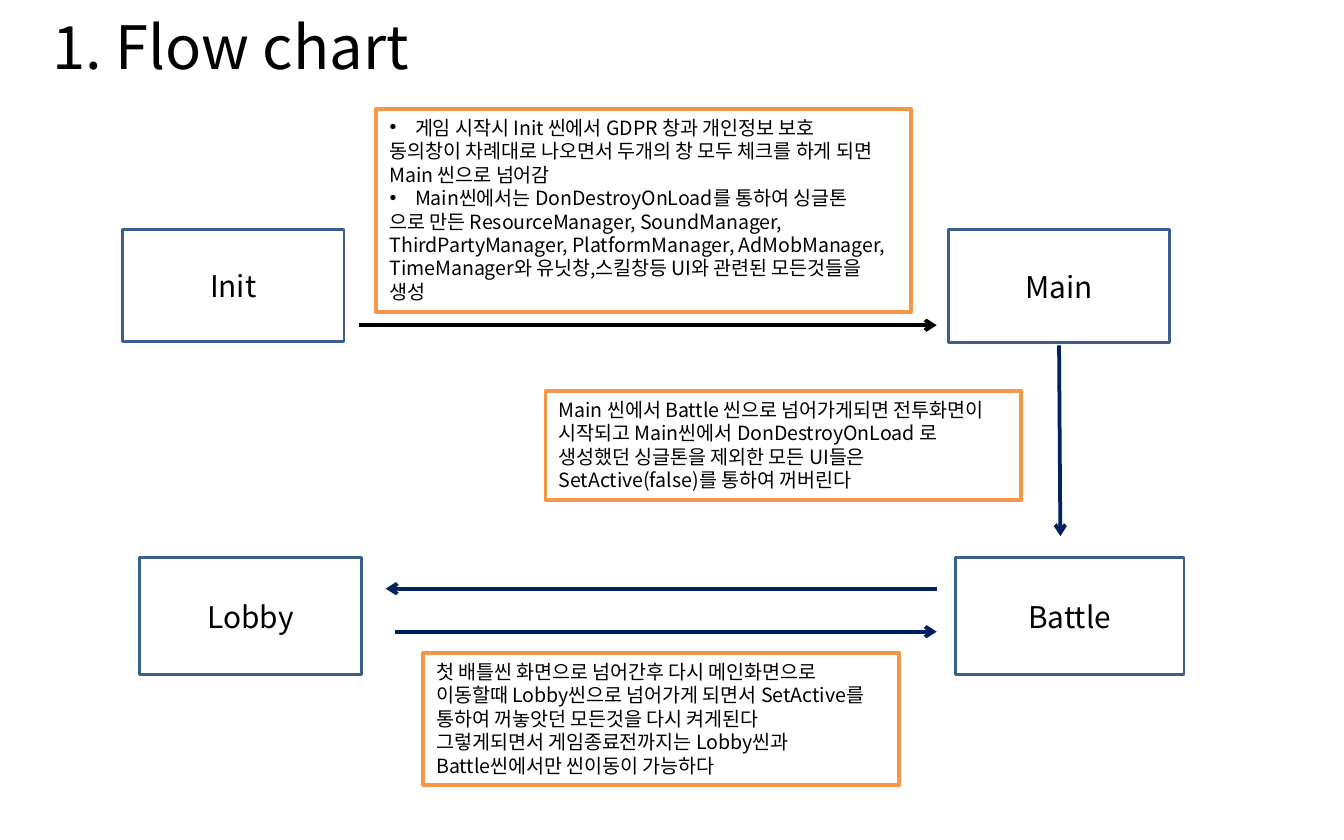
from lxml.etree import SubElement
from pptx import Presentation
from pptx.dml.color import RGBColor
from pptx.enum.shapes import MSO_CONNECTOR, MSO_SHAPE
from pptx.enum.text import MSO_ANCHOR, MSO_AUTO_SIZE, PP_ALIGN
from pptx.oxml.ns import qn
from pptx.util import Inches, Pt

FONT = "Noto Sans CJK KR"
COLORS = {
    "text": "000000",
    "fill": "FFFFFF",
    "scene": "3A5F8C",
    "note": "F79646",
    "start": "000000",
    "move": "002060",
}


def add_text(paragraph, text, size):
    run = paragraph.add_run()
    run.text = text
    run.font.size = Pt(size)
    run.font.name = FONT
    run.font.color.rgb = RGBColor.from_string(COLORS["text"])
    SubElement(run.font._element, qn("a:ea")).set("typeface", FONT)


def add_box(left, top, width, height, color, line_width):
    shape = slide.shapes.add_shape(
        MSO_SHAPE.RECTANGLE, Inches(left), Inches(top), Inches(width), Inches(height))
    shape.shadow.inherit = False
    shape.fill.solid()
    shape.fill.fore_color.rgb = RGBColor.from_string(COLORS["fill"])
    shape.line.color.rgb = RGBColor.from_string(COLORS[color])
    shape.line.width = Pt(line_width)
    shape.text_frame.word_wrap = True
    return shape


presentation = Presentation()
presentation.slide_width = Inches(10)
presentation.slide_height = Inches(6.25)
slide = presentation.slides.add_slide(presentation.slide_layouts[5])

# Title
title = slide.shapes.title
title.left, title.top = Inches(0.29), Inches(0.02)
title.width, title.height = Inches(2.88), Inches(0.64)
title.text_frame.word_wrap = False
title.text_frame.auto_size = MSO_AUTO_SIZE.NONE
title.text_frame.vertical_anchor = MSO_ANCHOR.TOP
title.text_frame.paragraphs[0].alignment = PP_ALIGN.LEFT
add_text(title.text_frame.paragraphs[0], "1. Flow chart", 32)

# Scenes
scenes = [
    ("Init", 0.91, 1.71, 1.65, 0.83),
    ("Main", 7.06, 1.71, 1.64, 0.84),
    ("Battle", 7.11, 4.15, 1.7, 0.87),
    ("Lobby", 1.04, 4.15, 1.65, 0.87),
]
for name, left, top, width, height in scenes:
    scene = add_box(left, top, width, height, "scene", 1.5)
    scene.text_frame.vertical_anchor = MSO_ANCHOR.MIDDLE
    paragraph = scene.text_frame.paragraphs[0]
    paragraph.alignment = PP_ALIGN.CENTER
    add_text(paragraph, name, 16)

# Arrows between scenes
arrows = [
    (2.67, 2.42, 6.97, 2.42, "start"),
    (2.94, 4.7, 6.97, 4.7, "move"),
    (6.97, 4.38, 2.87, 4.38, "move"),
    (7.88, 2.57, 7.89, 3.99, "move"),
]
for start_x, start_y, end_x, end_y, color in arrows:
    arrow = slide.shapes.add_connector(
        MSO_CONNECTOR.STRAIGHT,
        Inches(start_x), Inches(start_y), Inches(end_x), Inches(end_y))
    arrow.line.color.rgb = RGBColor.from_string(COLORS[color])
    arrow.line.width = Pt(2)
    SubElement(arrow.line._get_or_add_ln(), qn("a:tailEnd")).set("type", "arrow")
    SubElement(arrow._element.spPr, qn("a:effectLst"))

# Notes on each move: position, then paragraphs as (bulleted, text)
notes = [
    (2.8, 0.81, 3.98, 1.51, [
        (True, "게임 시작시 Init 씬에서 GDPR 창과 개인정보 보호"),
        (False, "동의창이 차례대로 나오면서 두개의 창 모두 체크를 하게 되면 Main 씬으로 넘어감"),
        (True, "Main씬에서는 DonDestroyOnLoad를 통하여 싱글톤"),
        (False, "으로 만든 ResourceManager, SoundManager,"),
        (False, "ThirdPartyManager, PlatformManager, AdMobManager, "
                "TimeManager와 유닛창,스킬창등 UI와 관련된 모든것들을 생성"),
    ]),
    (4.06, 2.91, 3.54, 0.81, [
        (False, "Main 씬에서 Battle 씬으로 넘어가게되면 전투화면이 "
                "시작되고 Main씬에서 DonDestroyOnLoad 로"),
        (False, "생성했던 싱글톤을 제외한 모든 UI들은 SetActive(false)를 통하여 꺼버린다"),
    ]),
    (3.15, 4.86, 3.54, 0.98, [
        (False, "첫 배틀씬 화면으로 넘어간후 다시 메인화면으로 이동할때 Lobby씬으로 "
                "넘어가게 되면서 SetActive를 통하여 꺼놓앗던 모든것을 다시 켜게된다"),
        (False, "그렇게되면서 게임종료전까지는 Lobby씬과"),
        (False, "Battle씬에서만 씬이동이 가능하다"),
    ]),
]
for left, top, width, height, lines in notes:
    note = add_box(left, top, width, height, "note", 2)
    frame = note.text_frame
    frame.vertical_anchor = MSO_ANCHOR.TOP
    frame.auto_size = MSO_AUTO_SIZE.SHAPE_TO_FIT_TEXT
    for index, (bulleted, text) in enumerate(lines):
        paragraph = frame.add_paragraph() if index else frame.paragraphs[0]
        paragraph.alignment = PP_ALIGN.LEFT
        if bulleted:
            properties = paragraph._p.get_or_add_pPr()
            properties.set("marL", str(Inches(0.19)))
            properties.set("indent", str(-Inches(0.19)))
            SubElement(properties, qn("a:buFont")).set("typeface", "Arial")
            SubElement(properties, qn("a:buChar")).set("char", "•")
        add_text(paragraph, text, 10.5)

presentation.save("out.pptx")
